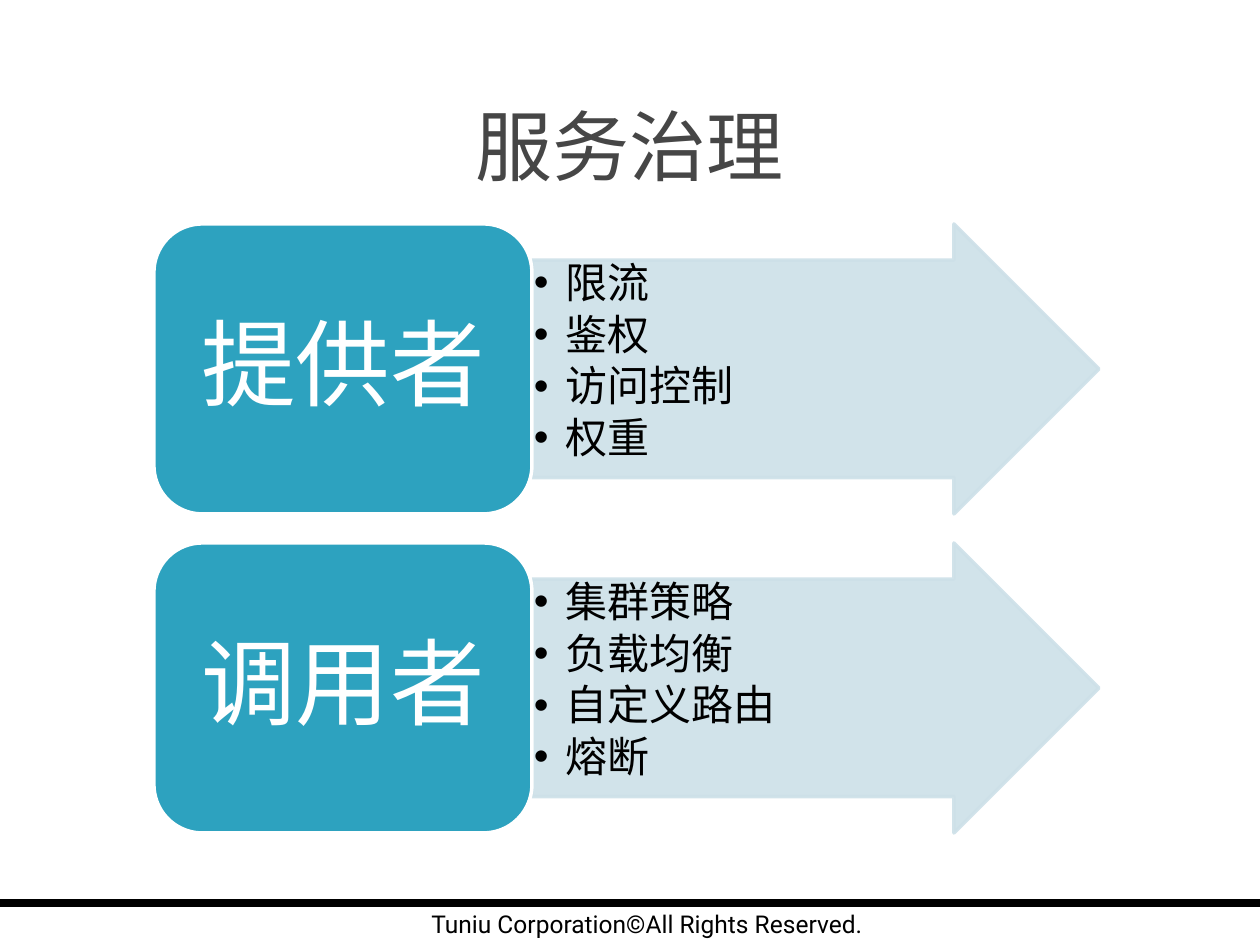
import pptx
import pptx.dml.color
import pptx.enum.shapes
import pptx.enum.text
import pptx.oxml.ns
import pptx.util
from lxml import etree

RGBColor = pptx.dml.color.RGBColor
MSO_SHAPE = pptx.enum.shapes.MSO_SHAPE
ALIGN = pptx.enum.text.PP_ALIGN
ANCHOR = pptx.enum.text.MSO_ANCHOR
Pt = pptx.util.Pt
qn = pptx.oxml.ns.qn

TITLE = "服务治理"
FOOTER = "Tuniu Corporation©All Rights Reserved."
ROLES = [
    ("提供者", ["限流", "鉴权", "访问控制", "权重"]),
    ("调用者", ["集群策略", "负载均衡", "自定义路由", "熔断"]),
]

BLACK = RGBColor(0x00, 0x00, 0x00)
WHITE = RGBColor(0xFF, 0xFF, 0xFF)
GREY = RGBColor(0x46, 0x46, 0x46)
TEAL = RGBColor(0x2D, 0xA2, 0xBF)
PALE = RGBColor(0xCD, 0xE0, 0xE8)

EMU_PER_PX = 914400 // 126
SLIDE_WIDTH, SLIDE_HEIGHT = 1260, 945
ROLE_LEFT, ROLE_WIDTH, ARROW_WIDTH = 154, 378, 567
ROW_TOP, ROW_HEIGHT, ROW_PITCH = 224, 290, 319
RULE_TOP = 903


def px(*lengths):
    return [pptx.util.Emu(length * EMU_PER_PX) for length in lengths]


def add_run(paragraph, text, size, color, font="Arial"):
    run = paragraph.add_run()
    run.text = text
    run.font.size = Pt(size)
    run.font.name = font
    run.font.color.rgb = color


def set_margins(frame, horizontal, vertical):
    frame.margin_left = frame.margin_right = px(horizontal)[0]
    frame.margin_top = frame.margin_bottom = px(vertical)[0]


def add_block(slide, kind, box, fill, line):
    shape = slide.shapes.add_shape(kind, *px(*box))
    shape.shadow.inherit = False
    shape.fill.solid()
    shape.fill.fore_color.rgb = fill
    shape.line.color.rgb = line
    shape.line.width = Pt(2)
    shape.text_frame.word_wrap = True
    return shape


def add_bullet(paragraph, indent):
    properties = paragraph._p.get_or_add_pPr()
    properties.set("marL", str(indent))
    properties.set("indent", str(-indent))
    etree.SubElement(properties, qn("a:buFont"), typeface="Arial")
    etree.SubElement(properties, qn("a:buChar"), char="•")


def add_arrow(slide, top, items):
    box = (ROLE_LEFT + ROLE_WIDTH, top, ARROW_WIDTH, ROW_HEIGHT)
    arrow = add_block(slide, MSO_SHAPE.RIGHT_ARROW, box, PALE, PALE)
    arrow.adjustments[0] = 0.75
    arrow.adjustments[1] = 0.5
    for color in arrow._element.spPr.iter(qn("a:srgbClr")):
        etree.SubElement(color, qn("a:alpha"), val="90000")
    frame = arrow.text_frame
    frame.vertical_anchor = ANCHOR.TOP
    set_margins(frame, 2, 2)
    for index, item in enumerate(items):
        paragraph = frame.add_paragraph() if index else frame.paragraphs[0]
        add_bullet(paragraph, pptx.util.Inches(0.25))
        paragraph.alignment = ALIGN.LEFT
        paragraph.line_spacing = 0.9
        paragraph.space_after = Pt(3.6)
        add_run(paragraph, item, 24, BLACK)


def add_role(slide, top, name):
    box = (ROLE_LEFT, top, ROLE_WIDTH, ROW_HEIGHT)
    role = add_block(slide, MSO_SHAPE.ROUNDED_RECTANGLE, box, TEAL, WHITE)
    role.text_frame.vertical_anchor = ANCHOR.MIDDLE
    set_margins(role.text_frame, 29, 14)
    paragraph = role.text_frame.paragraphs[0]
    paragraph.alignment = ALIGN.CENTER
    paragraph.line_spacing = 0.9
    add_run(paragraph, name, 54, WHITE)


def add_footer(slide):
    rule = slide.shapes.add_connector(
        pptx.enum.shapes.MSO_CONNECTOR.STRAIGHT,
        *px(0, RULE_TOP, SLIDE_WIDTH, RULE_TOP))
    rule.line.color.rgb = BLACK
    rule.line.width = Pt(5)
    etree.SubElement(rule._element.spPr, qn("a:effectLst"))
    footer = slide.shapes.add_textbox(*px(378, RULE_TOP, 538, 42))
    footer.text_frame.word_wrap = True
    paragraph = footer.text_frame.paragraphs[0]
    paragraph.alignment = ALIGN.CENTER
    add_run(paragraph, FOOTER, 14, BLACK, "Roboto")


def add_title(slide):
    title = slide.shapes.title
    title.left, title.top, title.width, title.height = px(63, 94, 1134, 101)
    title.text_frame.vertical_anchor = ANCHOR.MIDDLE
    paragraph = title.text_frame.paragraphs[0]
    paragraph.alignment = ALIGN.CENTER
    add_run(paragraph, TITLE, 44, GREY)


def main():
    presentation = pptx.Presentation()
    presentation.slide_width, presentation.slide_height = px(SLIDE_WIDTH, SLIDE_HEIGHT)
    slide = presentation.slides.add_slide(presentation.slide_layouts[5])
    add_footer(slide)
    add_title(slide)
    for row, (name, items) in enumerate(ROLES):
        top = ROW_TOP + row * ROW_PITCH
        add_arrow(slide, top, items)
        add_role(slide, top, name)
    presentation.save("out.pptx")


if __name__ == "__main__":
    main()
